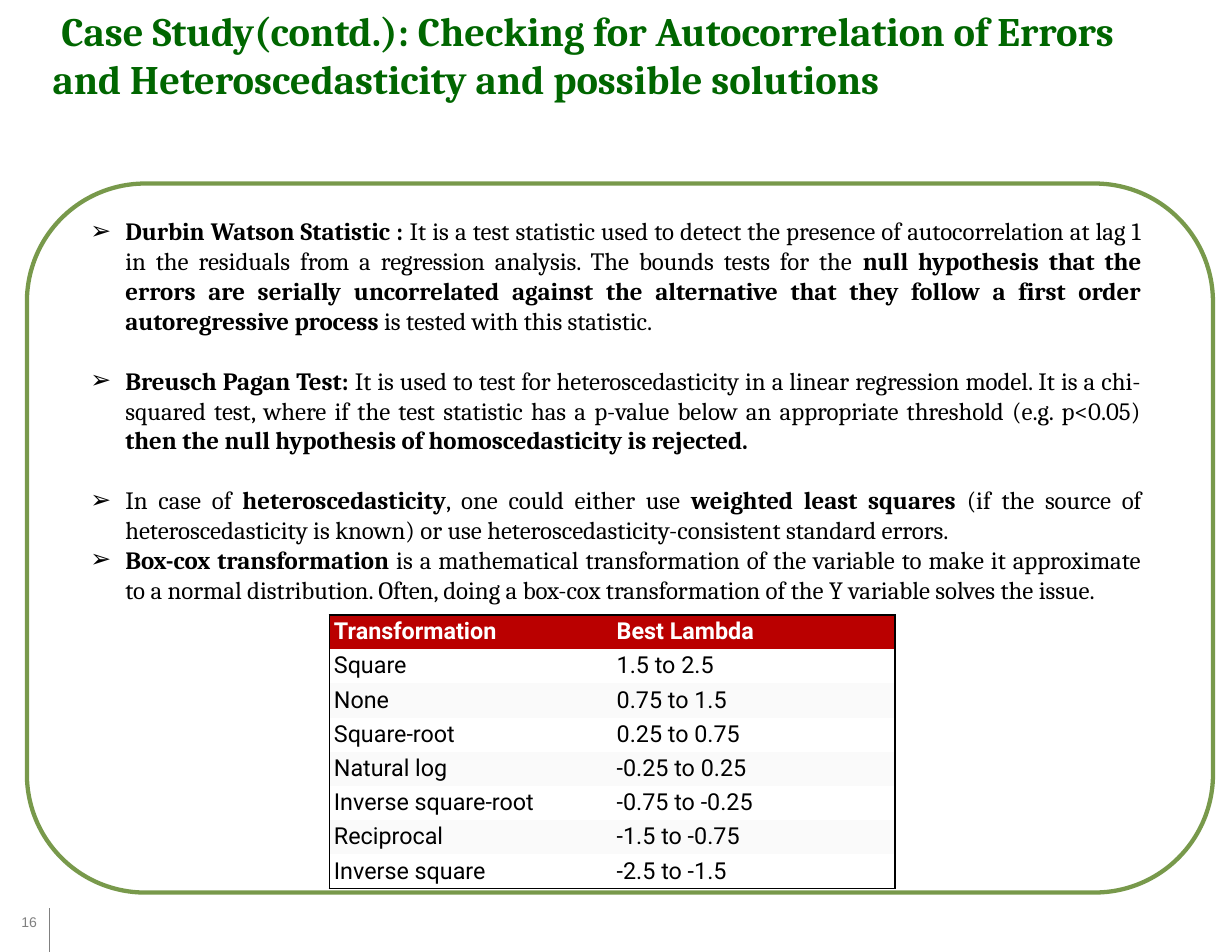
from dataclasses import dataclass
from typing import NamedTuple

from lxml.etree import SubElement
from pptx import Presentation
from pptx.dml.color import RGBColor as RGB
from pptx.enum.shapes import MSO_CONNECTOR as CONN, MSO_SHAPE as SHAPE
from pptx.enum.text import MSO_ANCHOR as ANCHOR, PP_ALIGN as ALIGN
from pptx.oxml.ns import qn
from pptx.util import Pt


@dataclass(frozen=True)
class Theme:
    serif: str = "Cambria"
    table_font: str = "Roboto"
    small_font: str = "Arial"
    title: RGB = RGB(0x00, 0x66, 0x00)
    text: RGB = RGB(0, 0, 0)
    white: RGB = RGB(0xFF, 0xFF, 0xFF)
    band: RGB = RGB(0xFA, 0xFA, 0xFA)
    header: RGB = RGB(0xBA, 0x00, 0x00)
    frame: RGB = RGB(0x46, 0x74, 0x09)
    grey: RGB = RGB(0x80, 0x80, 0x80)
    title_size: float = 26
    body_size: float = 16
    table_size: float = 15
    number_size: float = 9


class Box(NamedTuple):
    left: float
    top: float
    width: float
    height: float

    def lengths(self) -> list:
        return [Pt(v) for v in self]


class Span(NamedTuple):
    text: str
    bold: bool = False


@dataclass(frozen=True)
class Bullet:
    spans: tuple[Span, ...]
    space_before: float = 0


THEME = Theme()
INDENT = 22.5
BULLET_GAP = 19.2
ROW_HEIGHT = 21.7

TITLE = (" Case Study(contd.): Checking for Autocorrelation of Errors "
         "and Heteroscedasticity and possible solutions")
BULLETS = (
    Bullet((
        Span("Durbin Watson Statistic : ", True),
        Span("It is a test statistic used to detect the presence of autocorrelation at lag 1 "
             "in the residuals from a regression analysis. The bounds tests for the "),
        Span("null hypothesis that the errors are serially uncorrelated against the "
             "alternative that they follow a first order autoregressive process ", True),
        Span("is tested with this statistic."),
    )),
    Bullet((
        Span("Breusch Pagan Test: ", True),
        Span("It is used to test for heteroscedasticity in a linear regression model. "
             "It is a chi-squared test, where if the test statistic has a p-value below "
             "an appropriate threshold (e.g. p<0.05) "),
        Span("then the null hypothesis of homoscedasticity is rejected. ", True),
    ), BULLET_GAP),
    Bullet((
        Span("In case of"),
        Span(" heteroscedasticity", True),
        Span(", one could either use "),
        Span("weighted least squares ", True),
        Span("(if the source of heteroscedasticity is known) or use "
             "heteroscedasticity-consistent standard errors."),
    ), BULLET_GAP),
    Bullet((
        Span("Box-cox transformation ", True),
        Span("is a mathematical transformation of the variable to make it approximate to a "
             "normal distribution. Often, doing a box-cox transformation of the Y variable "
             "solves the issue."),
    )),
)
LAMBDAS = (
    ("Transformation", "Best Lambda"),
    ("Square", "1.5 to 2.5"),
    ("None", "0.75 to 1.5"),
    ("Square-root", "0.25 to 0.75"),
    ("Natural log", "-0.25 to 0.25"),
    ("Inverse square-root", "-0.75 to -0.25"),
    ("Reciprocal", "-1.5 to -0.75"),
    ("Inverse square", "-2.5 to -1.5"),
)


def style(r, font: str, size: float, color: RGB, bold: bool = False) -> None:
    r.font.name, r.font.size, r.font.bold = font, Pt(size), bold
    r.font.color.rgb = color


def add_title(s, box: Box) -> None:
    sp = s.shapes.title
    sp.left, sp.top, sp.width, sp.height = box.lengths()
    tf = sp.text_frame
    tf.text = TITLE
    tf.vertical_anchor = ANCHOR.TOP
    p = tf.paragraphs[0]
    p.alignment = ALIGN.LEFT
    style(p.runs[0], THEME.serif, THEME.title_size, THEME.title, True)


def set_bullet(p) -> None:
    pPr = p._p.get_or_add_pPr()
    pPr.set("marL", str(Pt(INDENT)))
    pPr.set("indent", str(-Pt(INDENT)))
    SubElement(pPr, qn("a:buFont"), typeface=THEME.small_font)
    SubElement(pPr, qn("a:buChar"), char="➢")


def add_bullets(s, box: Box, bullets: tuple[Bullet, ...]) -> None:
    tf = s.shapes.add_textbox(*box.lengths()).text_frame
    tf.word_wrap = True
    for i, bullet in enumerate(bullets):
        p = tf.add_paragraph() if i else tf.paragraphs[0]
        p.alignment = ALIGN.JUSTIFY
        p.space_before = Pt(bullet.space_before)
        set_bullet(p)
        for span in bullet.spans:
            r = p.add_run()
            r.text = span.text
            style(r, THEME.serif, THEME.body_size, THEME.text, span.bold)


def add_frame(s, box: Box) -> None:
    sp = s.shapes.add_shape(SHAPE.ROUNDED_RECTANGLE, *box.lengths())
    sp.shadow.inherit = False
    sp.fill.background()
    sp.line.width = Pt(2.75)
    sp.line.color.rgb = THEME.frame
    color = sp.line._ln.find(".//" + qn("a:srgbClr"))
    SubElement(color, qn("a:alpha"), val="73000")


def set_borders(cell, edges: dict[str, bool]) -> None:
    """Draw the listed sides in black where true, and clear them where false."""
    tcPr = cell._tc.get_or_add_tcPr()
    for side, drawn in edges.items():
        ln = SubElement(tcPr, qn(f"a:ln{side}"), w=str(Pt(1)))
        fill = SubElement(ln, qn("a:solidFill" if drawn else "a:noFill"))
        if drawn:
            SubElement(fill, qn("a:srgbClr"), val=str(THEME.text))


def add_lambda_table(s, box: Box, rows: tuple[tuple[str, ...], ...]) -> None:
    last_row, last_col = len(rows) - 1, len(rows[0]) - 1
    table = s.shapes.add_table(len(rows), len(rows[0]), *box.lengths()).table
    table.first_row = table.horz_banding = False
    for i, row in enumerate(rows):
        table.rows[i].height = Pt(ROW_HEIGHT)
        header = i == 0
        fill = THEME.header if header else THEME.white if i % 2 else THEME.band
        for j, text in enumerate(row):
            cell = table.cell(i, j)
            set_borders(cell, {"L": j == 0, "R": j == last_col,
                               "T": header, "B": i == last_row})
            cell.fill.solid()
            cell.fill.fore_color.rgb = fill
            cell.margin_left = cell.margin_right = Pt(3)
            cell.margin_top = cell.margin_bottom = Pt(2)
            cell.text_frame.text = text
            style(cell.text_frame.paragraphs[0].runs[0], THEME.table_font,
                  THEME.table_size, THEME.white if header else THEME.text, header)


def add_page_number(s, box: Box, number: str) -> None:
    tf = s.shapes.add_textbox(*box.lengths()).text_frame
    tf.word_wrap = False
    tf.vertical_anchor = ANCHOR.BOTTOM
    tf.margin_left = tf.margin_right = Pt(8)
    tf.margin_top = tf.margin_bottom = Pt(4)
    tf.text = number
    style(tf.paragraphs[0].runs[0], THEME.small_font, THEME.number_size, THEME.grey)
    x = Pt(31.5)
    line = s.shapes.add_connector(CONN.STRAIGHT, x, Pt(612), x, Pt(584))
    line.line.color.rgb = THEME.grey
    line.line.width = Pt(0.5)
    SubElement(line._element.spPr, qn("a:effectLst"))


def main() -> None:
    prs = Presentation()
    prs.slide_width, prs.slide_height = Pt(792), Pt(612)
    s = prs.slides.add_slide(prs.slide_layouts[5])
    add_page_number(s, Box(5.8, 559.4, 28, 42.5), "16")
    add_title(s, Box(26.6, 0, 739.4, 88.6))
    add_bullets(s, Box(51, 135.4, 690, 278.6), BULLETS)
    add_frame(s, Box(17.3, 118, 762.5, 455.8))
    add_lambda_table(s, Box(211.7, 395.3, 363.6, ROW_HEIGHT * len(LAMBDAS)), LAMBDAS)
    prs.save("out.pptx")


if __name__ == "__main__":
    main()
